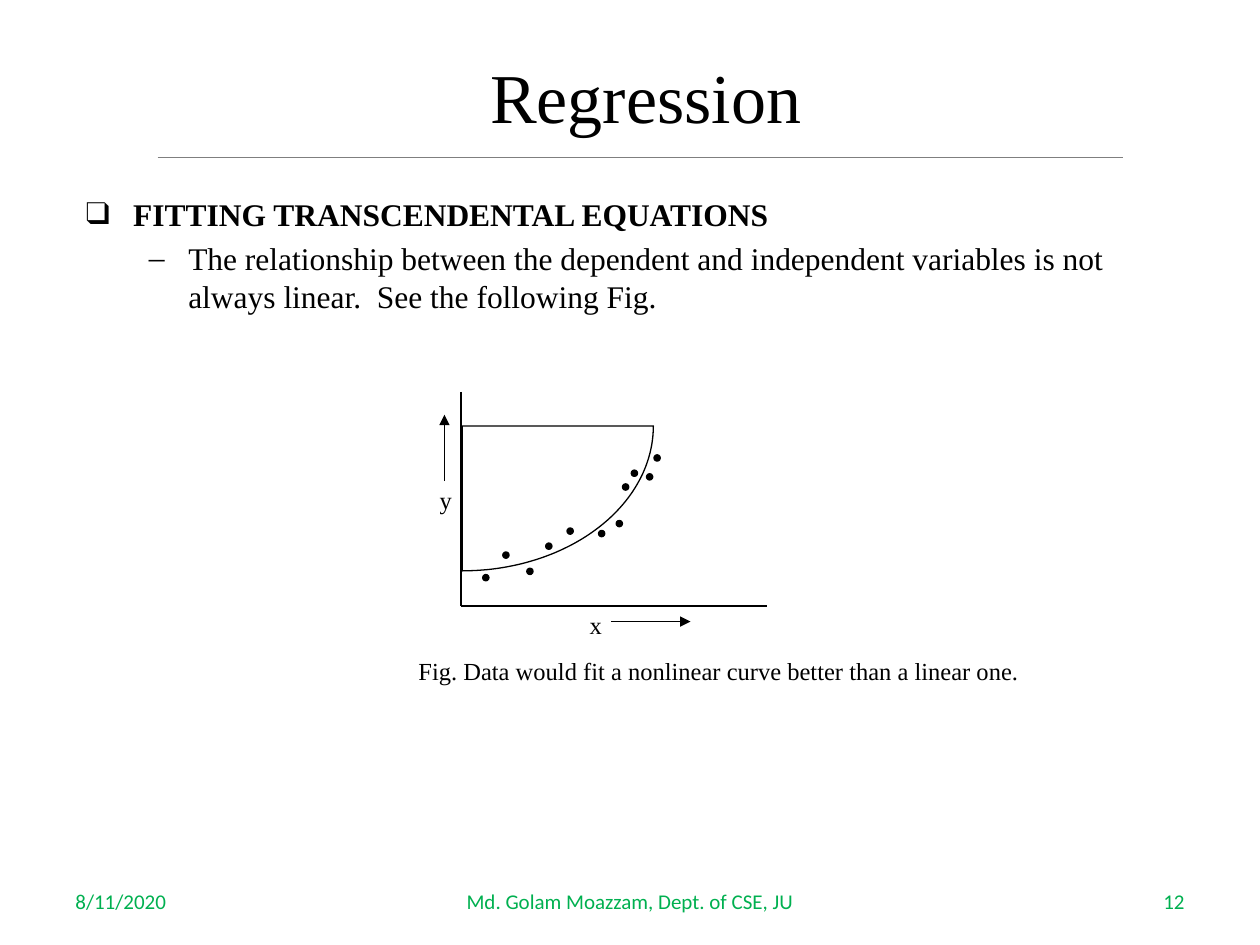
from dataclasses import dataclass
from math import cos, pi, sin

from lxml import etree
from pptx import Presentation
from pptx.dml.color import RGBColor
from pptx.enum.shapes import MSO_CONNECTOR, MSO_SHAPE
from pptx.enum.text import MSO_ANCHOR, PP_ALIGN
from pptx.oxml.ns import qn
from pptx.util import Pt

STRAIGHT = MSO_CONNECTOR.STRAIGHT
OVAL = MSO_SHAPE.OVAL
TOP, MIDDLE = MSO_ANCHOR.TOP, MSO_ANCHOR.MIDDLE
LEFT, CENTER, RIGHT = PP_ALIGN.LEFT, PP_ALIGN.CENTER, PP_ALIGN.RIGHT


@dataclass(frozen=True)
class Theme:
    """Colours, fonts and type sizes of the slide."""
    ink: RGBColor = RGBColor(0, 0, 0)
    rule: RGBColor = RGBColor(0x7F, 0x7F, 0x7F)
    footer: RGBColor = RGBColor(0x00, 0xB0, 0x50)
    serif: str = "Times New Roman"
    sans: str = "Calibri"
    title_size: int = 40
    body_size: int = 18
    label_size: int = 14
    footer_size: int = 12
    line: float = 0.75


THEME = Theme()
DOTS = [(43.8, 104.3), (55.3, 91.4), (69, 100.7), (79.8, 86.3),
        (92, 77.7), (110, 79.1), (120.1, 73.4), (123.7, 52.5),
        (128.7, 44.6), (137.4, 46.7), (141.7, 35.9)]


def style(p, size, font=THEME.serif, color=THEME.ink, bold=False):
    """Format every run of a paragraph."""
    for r in p.runs:
        r.font.size = Pt(size)
        r.font.name = font
        r.font.color.rgb = color
        r.font.bold = bold


def add_text(s, box, text, size, align=LEFT, anchor=TOP, wrap=True, **look):
    """Add a text box and return its text frame."""
    tf = s.shapes.add_textbox(*map(Pt, box)).text_frame
    tf.word_wrap = wrap
    tf.vertical_anchor = anchor
    tf.text = text
    tf.paragraphs[0].alignment = align
    style(tf.paragraphs[0], size, **look)
    return tf


def add_line(s, start, end, color=THEME.ink, arrow=False):
    """Add a straight line, with an optional arrowhead at its end."""
    c = s.shapes.add_connector(STRAIGHT, *map(Pt, (*start, *end)))
    c.line.color.rgb = color
    c.line.width = Pt(THEME.line)
    if arrow:
        etree.SubElement(c.line._get_or_add_ln(), qn("a:tailEnd"), type="triangle")
    etree.SubElement(c._element.spPr, qn("a:effectLst"))


def set_bullet(p, char, margin, hang):
    """Give a paragraph a bullet and a hanging indent."""
    pPr = p._p.get_or_add_pPr()
    pPr.set("marL", str(Pt(margin)))
    pPr.set("indent", str(-Pt(hang)))
    etree.SubElement(pPr, qn("a:buFont"), typeface=THEME.serif)
    etree.SubElement(pPr, qn("a:buChar"), char=char)


def add_title(s, box):
    """Place the title with a rule along the bottom of its box."""
    x, y, w, h = box
    add_text(s, box, "Regression", THEME.title_size, CENTER)
    add_line(s, (x - 6, y + h), (x + w, y + h), THEME.rule)


def add_body(s, box):
    """Place the heading and its point."""
    tf = add_text(s, box, "FITTING TRANSCENDENTAL EQUATIONS", THEME.body_size, bold=True)
    set_bullet(tf.paragraphs[0], "❑", 27, 27)
    p = tf.add_paragraph()
    p.text = ("The relationship between the dependent and independent variables "
              "is not always linear.  See the following Fig.")
    p.level = 1
    p.space_before = Pt(3.6)
    style(p, THEME.body_size)
    set_bullet(p, "–", 58.5, 22.5)


def add_curve(s, x, y, rx, ry, steps=60):
    """Draw a closed quarter ellipse centred on its upper left corner."""
    arc = [(x + rx * cos(a), y + ry * sin(a))
           for a in (pi / 2 * i / steps for i in range(steps + 1))]
    fb = s.shapes.build_freeform(Pt(x), Pt(y))
    fb.add_line_segments([(Pt(px), Pt(py)) for px, py in arc], close=True)
    sp = fb.convert_to_shape()
    sp.shadow.inherit = False
    sp.fill.background()
    sp.line.color.rgb = THEME.ink
    sp.line.width = Pt(THEME.line)


def add_dot(s, x, y, size=3.6):
    """Add one data point."""
    sp = s.shapes.add_shape(OVAL, *map(Pt, (x, y, size, size)))
    sp.shadow.inherit = False
    sp.fill.solid()
    sp.fill.fore_color.rgb = THEME.ink
    sp.line.color.rgb = THEME.ink
    sp.line.width = Pt(THEME.line)


def add_figure(s, box):
    """Draw the axes, curve, data points, labels and caption."""
    x, y, w, h = box
    corner = (x + 31.5, y + 122.3)
    add_line(s, (corner[0], y), corner)
    add_line(s, corner, (x + 206.5, corner[1]))
    add_curve(s, x + 32.2, y + 19.4, 109.2, 82.8)
    for dx, dy in DOTS:
        add_dot(s, x + dx, y + dy)
    add_line(s, (x + 117.2, y + 131.2), (x + 162.6, y + 131.2), arrow=True)
    add_line(s, (x + 22, y + 51), (x + 22, y + 13), arrow=True)
    for text, dx, dy in (("x", 97.8, 120.9), ("y", 12.1, 49.6)):
        add_text(s, (x + dx, y + dy, 21.6, 24.5), text, THEME.label_size, wrap=False)
    add_text(s, (x, y + h - 24.5, w, 24.5),
             "Fig. Data would fit a nonlinear curve better than a linear one.",
             THEME.label_size)


def add_footer(s, box):
    """Place the date, author and slide number across the box."""
    x, y, w, h = box
    side, middle = 168, 228
    for text, left, width, align in (
            ("8/11/2020", x, side, LEFT),
            ("Md. Golam Moazzam, Dept. of CSE, JU", x + (w - middle) / 2, middle, CENTER),
            ("12", x + w - side, side, RIGHT)):
        add_text(s, (left, y, width, h), text, THEME.footer_size, align, MIDDLE,
                 font=THEME.sans, color=THEME.footer)


def main():
    """Build and save the slide."""
    prs = Presentation()
    prs.slide_width, prs.slide_height = Pt(720), Pt(540)
    s = prs.slides.add_slide(prs.slide_layouts[6])
    add_title(s, (96, 27, 546, 63))
    add_body(s, (42, 108, 648, 408))
    add_figure(s, (232, 224, 361, 172))
    add_footer(s, (36, 500.5, 648, 28.75))
    prs.save("out.pptx")


if __name__ == "__main__":
    main()
